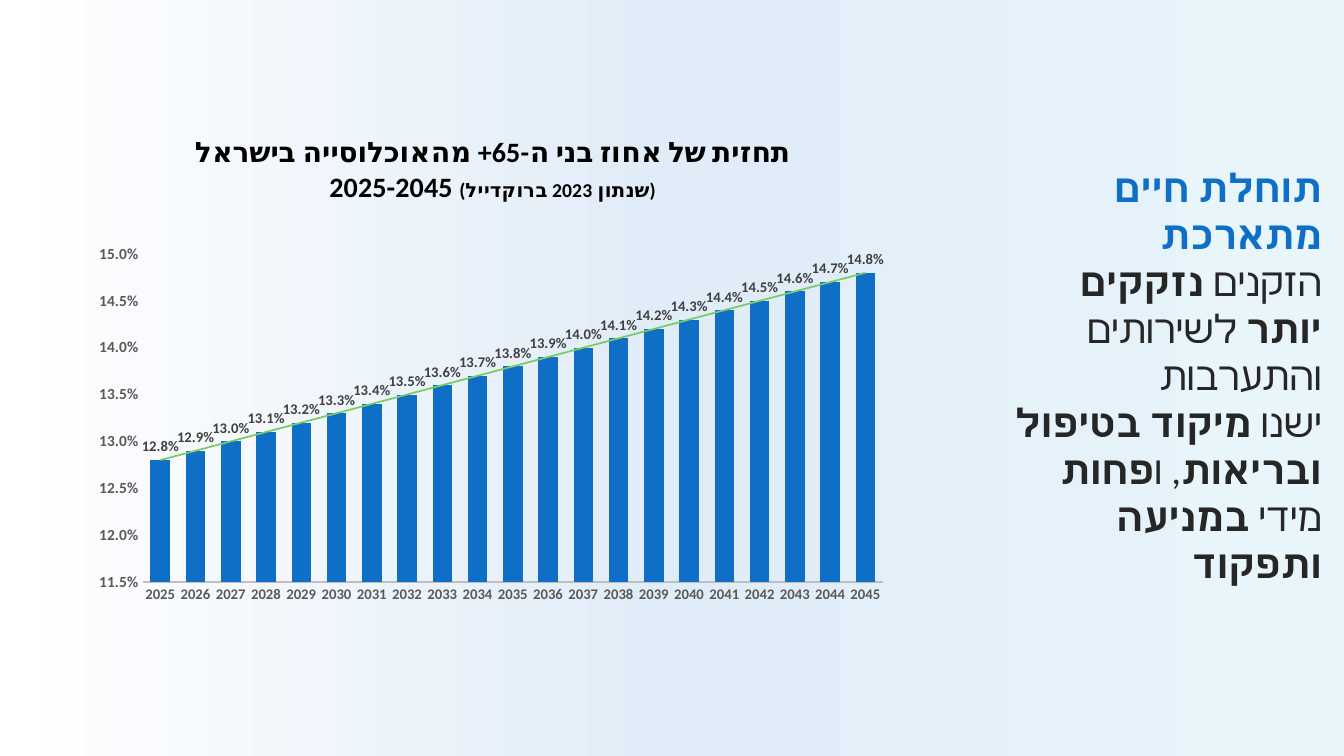
from lxml.etree import SubElement
from pptx import Presentation
from pptx.chart.data import CategoryChartData as Data
from pptx.dml.color import RGBColor
from pptx.enum.chart import XL_CHART_TYPE as Kind, XL_LABEL_POSITION as Spot
from pptx.enum.chart import XL_TICK_MARK as Tick
from pptx.enum.text import MSO_AUTO_SIZE as Size, PP_ALIGN as Align
from pptx.oxml import parse_xml
from pptx.oxml.ns import nsdecls, qn
from pptx.util import Inches, Pt

BLUE, GREEN, DARK, GREY = "0F6FC6", "7CCA62", "262626", "595959"


def paint(color, value):
    color.rgb = RGBColor.from_string(value)


class Deck:
    """Holds the style and the current slide."""

    face = "Calibri"

    def __init__(self):
        self.show = Presentation()
        self.show.slide_width = Inches(13.33)
        self.show.slide_height = Inches(7.5)
        self.slide = self.show.slides.add_slide(self.show.slide_layouts[6])

    def back(self, stops):
        fill = self.slide.background.fill
        fill.gradient()
        fill.gradient_angle = 0
        group = next(self.slide._element.iter(qn("a:gsLst")))
        for old in list(group):
            group.remove(old)
        for place, value in stops:
            stop = SubElement(group, qn("a:gs"), pos=str(place * 1000))
            SubElement(stop, qn("a:srgbClr"), val=value)

    def style(self, font, size, color, bold=True):
        font.size, font.bold, font.name = Pt(size), bold, self.face
        paint(font.color, color)

    def run(self, para, text, size, color, bold=True):
        run = para.add_run()
        run.text = text
        self.style(run.font, size, color, bold)
        SubElement(run._r.get_or_add_rPr(), qn("a:cs"), typeface=self.face)

    def text(self, box, paras, size):
        frame = self.slide.shapes.add_textbox(*map(Inches, box)).text_frame
        frame.word_wrap = True
        frame.auto_size = Size.SHAPE_TO_FIT_TEXT
        for i, runs in enumerate(paras):
            para = frame.add_paragraph() if i else frame.paragraphs[0]
            para.alignment = Align.RIGHT
            para._p.get_or_add_pPr().set("rtl", "1")
            for text, color, bold in runs:
                if text == "\n":
                    para.add_line_break()
                else:
                    self.run(para, text, size, color, bold)

    def chart(self, box, cats, vals, title):
        data = Data(number_format="0.0%")
        data.categories = cats
        data.add_series("Series 1", vals)
        chart = self.slide.shapes.add_chart(
            Kind.COLUMN_CLUSTERED, *map(Inches, box), data).chart
        self.style(chart.font, 10, "000000", False)
        chart.has_legend = False
        self.head(chart, title)
        self.axes(chart)
        self.bars(chart.plots[0])
        self.place(chart)

    def head(self, chart, lines):
        chart.has_title = True
        frame = chart.chart_title.text_frame
        chart.chart_title.include_in_layout = False
        for i, runs in enumerate(lines):
            para = frame.add_paragraph() if i else frame.paragraphs[0]
            para.alignment = Align.CENTER
            for text, size in runs:
                self.run(para, text, size, "000000")

    def axes(self, chart):
        for axis, size in (chart.category_axis, 10.5), (chart.value_axis, 11):
            axis.major_tick_mark = axis.minor_tick_mark = Tick.NONE
            axis.has_major_gridlines = False
            self.style(axis.tick_labels.font, size, GREY)
        line = chart.category_axis.format.line
        line.width = Pt(1.25)
        paint(line.color, "BFBFBF")
        axis = chart.value_axis
        axis.format.line.fill.background()
        axis.minimum_scale, axis.maximum_scale = 0.115, 0.15
        axis.major_unit = 0.005
        axis.tick_labels.number_format = "0.0%"
        axis.tick_labels.number_format_is_linked = False

    def bars(self, plot):
        plot.gap_width, plot.overlap = 80, 25
        plot.vary_by_categories = False
        bars = plot.series[0]
        bars.format.fill.solid()
        paint(bars.format.fill.fore_color, BLUE)
        tags = bars.data_labels
        tags.show_value = True
        tags.position = Spot.OUTSIDE_END
        tags.number_format = "0.0%"
        tags.number_format_is_linked = False
        self.style(tags.font, 10.5, "404040")
        trend = parse_xml(
            f'<c:trendline {nsdecls("c", "a")}><c:spPr><a:ln w="{Pt(1.25)}">'
            f'<a:solidFill><a:srgbClr val="{GREEN}"/></a:solidFill></a:ln>'
            '</c:spPr><c:trendlineType val="linear"/><c:dispRSqr val="0"/>'
            '<c:dispEq val="0"/></c:trendline>')
        bars._element.find(qn("c:cat")).addprevious(trend)

    def place(self, chart):
        area = next(chart._chartSpace.iter(qn("c:plotArea")))
        for old in area.findall(qn("c:layout")):
            area.remove(old)
        layout = parse_xml(f'<c:layout {nsdecls("c")}/>')
        area.insert(0, layout)
        hold = SubElement(layout, qn("c:manualLayout"))
        for tag, value in (("layoutTarget", "inner"), ("xMode", "edge"),
                           ("yMode", "edge"), ("x", 0.07), ("y", 0.28),
                           ("w", 0.91), ("h", 0.66)):
            SubElement(hold, qn("c:" + tag), val=str(value))


def main():
    deck = Deck()
    deck.back([(0, "FFFFFF"), (50, "E0ECF8"), (100, "E8F5FB")])
    years = range(2025, 2046)
    deck.chart(
        (0.85, 1.14, 8.07, 4.93),
        [str(year) for year in years],
        [round(0.128 + 0.001 * i, 3) for i in range(len(years))],
        [[("תחזית של אחוז בני ה-65+ מהאוכלוסייה בישראל", 20)],
         [("2025-2045 ", 20), ("(שנתון 2023 ברוקדייל)", 14)]])
    deck.text(
        (9.78, 1.57, 3.43, 3.4),
        [[("תוחלת חיים מתארכת", BLUE, True),
          ("\n", BLUE, True),
          ("הזקנים ", DARK, False),
          ("נזקקים יותר ", DARK, True),
          ("לשירותים והתערבות", DARK, False)],
         [("ישנו ", DARK, False),
          ("מיקוד בטיפול ובריאות", DARK, True),
          (", ו", DARK, False),
          ("פחות", DARK, True),
          (" מידי ", DARK, False),
          ("במניעה ותפקוד", DARK, True)]], 28)
    deck.show.save("out.pptx")


if __name__ == "__main__":
    main()
